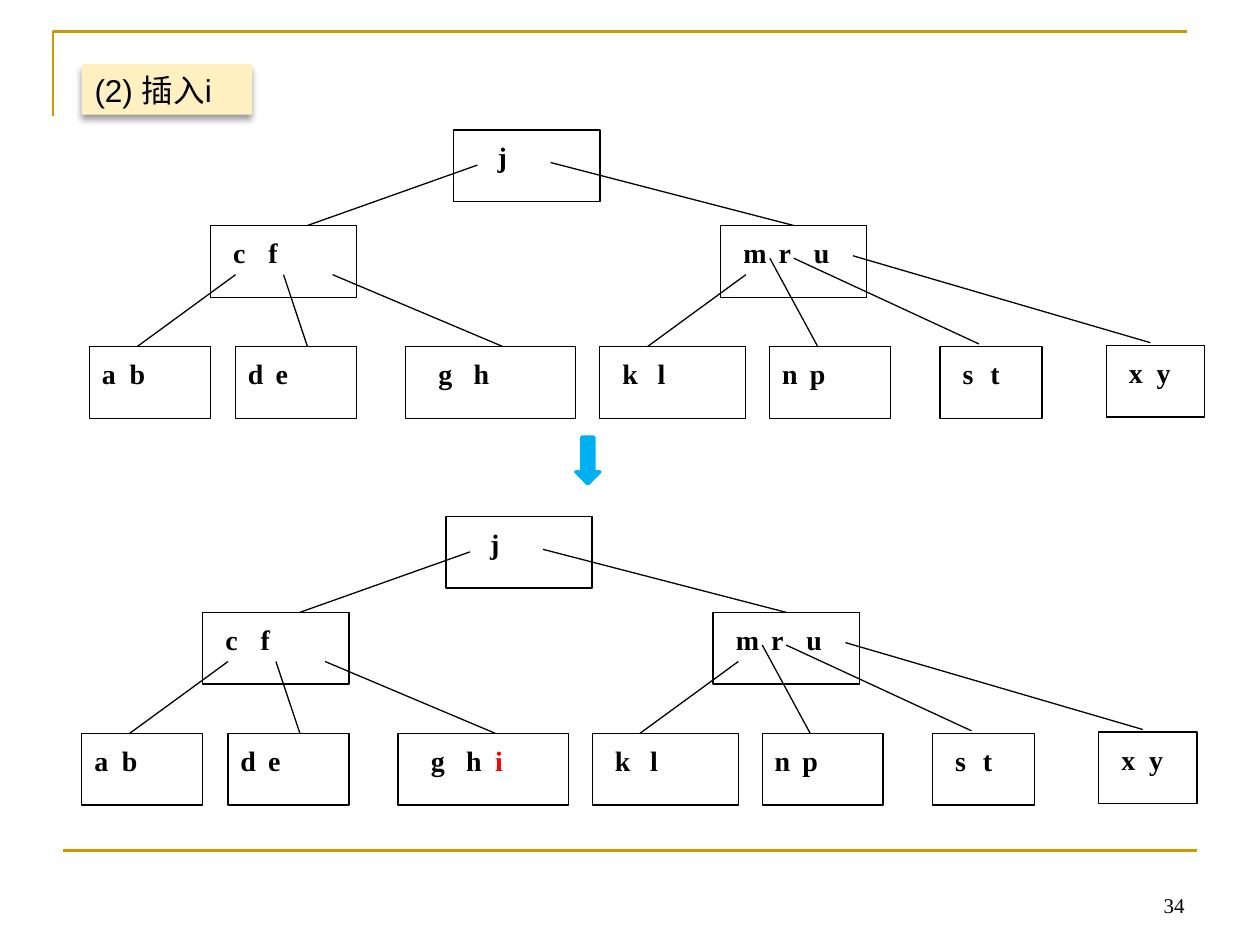
"""Build a slide showing a B-tree before and after inserting the key i."""
from lxml import etree
from pptx import Presentation
from pptx.dml.color import RGBColor
from pptx.enum import shapes, text
from pptx.oxml import ns
from pptx.util import Inches, Pt

BLACK = RGBColor(0x00, 0x00, 0x00)
WHITE = RGBColor(0xFF, 0xFF, 0xFF)
RED = RGBColor(0xFF, 0x00, 0x00)
GOLD = RGBColor(0xCC, 0x99, 0x00)
CREAM = RGBColor(0xFF, 0xF0, 0xC2)
BLUE = RGBColor(0x00, 0xB0, 0xF0)

NODE_H = 0.57
LEVELS = (1.03, 1.79, 2.75)
NARROW, WIDE = 0.22, 0.28

# keys, left, top, width, indent, tab stops
NODES = [
    ("j", 3.6, LEVELS[0], 1.16, 0.25, ()),
    ("cf", 1.67, LEVELS[1], 1.16, 0.08, (WIDE,)),
    ("mru", 5.72, LEVELS[1], 1.16, 0.08, (WIDE, 2 * WIDE)),
    ("ab", 0.71, LEVELS[2], 0.96, 0, (NARROW,)),
    ("de", 1.87, LEVELS[2], 0.96, 0, (NARROW,)),
    ("gh", 3.22, LEVELS[2], 1.35, 0.16, (WIDE, 0.51)),
    ("kl", 4.76, LEVELS[2], 1.16, 0.08, (WIDE,)),
    ("np", 6.11, LEVELS[2], 0.96, 0, (NARROW,)),
    ("st", 7.46, LEVELS[2], 0.81, 0.08, (NARROW,)),
    ("xy", 8.78, 2.74, 0.78, 0.08, (NARROW,)),
]

# start x, start y, end x, end y, node whose top centre is joined
BRANCHES = [
    (3.79, 1.31, 2.44, LEVELS[1], None),
    (4.37, 1.29, 6.3, LEVELS[1], "mru"),
    (1.87, 2.18, 1.09, LEVELS[2], None),
    (2.25, 2.18, 2.44, LEVELS[2], None),
    (2.64, 2.18, 3.99, LEVELS[2], None),
    (5.92, 2.18, 5.14, LEVELS[2], None),
    (6.11, 2.05, 6.49, LEVELS[2], None),
    (6.3, 2.05, 7.77, 2.73, None),
    (6.77, 2.03, 9.13, 2.72, None),
]


def add_run(p, content, size=16, font="Times New Roman", color=BLACK, bold=False):
    r = p.add_run()
    r.text = content
    r.font.size = Pt(size)
    r.font.name = font
    r.font.bold = bold
    r.font.color.rgb = color
    return r


def set_tabs(p, stops):
    tabs = etree.SubElement(p._p.get_or_add_pPr(), ns.qn("a:tabLst"))
    for stop in stops:
        etree.SubElement(tabs, ns.qn("a:tab"), pos=str(Inches(stop)), algn="l")


class TreeSlide:
    def __init__(self, prs):
        self.s = prs.slides.add_slide(prs.slide_layouts[5])
        self.line_width = Pt(0.75)

    def title(self, content, left, top, width, height):
        sp = self.s.shapes.title
        sp.left, sp.top = Inches(left), Inches(top)
        sp.width, sp.height = Inches(width), Inches(height)
        sp.fill.solid()
        sp.fill.fore_color.rgb = CREAM
        effects = etree.SubElement(sp._element.spPr, ns.qn("a:effectLst"))
        shadow = etree.SubElement(
            effects, ns.qn("a:outerShdw"), blurRad=str(Pt(4)), dist=str(Pt(3)),
            dir="5400000", algn="t", rotWithShape="0")
        tint = etree.SubElement(shadow, ns.qn("a:srgbClr"), val=str(BLACK))
        etree.SubElement(tint, ns.qn("a:alpha"), val="40000")
        tf = sp.text_frame
        tf.auto_size = text.MSO_AUTO_SIZE.NONE
        tf.word_wrap = False
        tf.vertical_anchor = text.MSO_ANCHOR.TOP
        p = tf.paragraphs[0]
        p.alignment = text.PP_ALIGN.LEFT
        add_run(p, content, size=18, font="Arial")

    def page_number(self, number):
        sp = self.s.shapes.add_textbox(
            Inches(7.17), Inches(6.83), Inches(2.33), Inches(0.5))
        tf = sp.text_frame
        tf.word_wrap = True
        tf.vertical_anchor = text.MSO_ANCHOR.BOTTOM
        p = tf.paragraphs[0]
        p.alignment = text.PP_ALIGN.RIGHT
        add_run(p, str(number), size=12)

    def corner(self, points):
        (x, y), *rest = [(Inches(a), Inches(b)) for a, b in points]
        builder = self.s.shapes.build_freeform(x, y)
        builder.add_line_segments(rest, close=False)
        sp = builder.convert_to_shape()
        sp.shadow.inherit = False
        sp.fill.background()
        sp.line.color.rgb = GOLD
        sp.line.width = Pt(1.5)

    def line(self, x1, y1, x2, y2, color=BLACK, width=None, parent=None):
        c = (parent or self.s).shapes.add_connector(
            shapes.MSO_CONNECTOR.STRAIGHT,
            Inches(x1), Inches(y1), Inches(x2), Inches(y2))
        c.line.color.rgb = color
        c.line.width = width or self.line_width
        etree.SubElement(c._element.spPr, ns.qn("a:effectLst"))
        return c

    def shape(self, kind, left, top, width, height, fill, line, line_width,
              parent=None):
        sp = (parent or self.s).shapes.add_shape(
            kind, Inches(left), Inches(top), Inches(width), Inches(height))
        sp.shadow.inherit = False
        sp.fill.solid()
        sp.fill.fore_color.rgb = fill
        sp.line.color.rgb = line
        sp.line.width = line_width
        return sp

    def node(self, group, keys, left, top, width, indent, stops, new_key):
        border = self.line_width if stops else Pt(1)
        sp = self.shape(shapes.MSO_SHAPE.RECTANGLE, left, top, width, NODE_H,
                        WHITE, BLACK, border, group)
        tf = sp.text_frame
        tf.word_wrap = True
        tf.vertical_anchor = text.MSO_ANCHOR.TOP
        tf.margin_left = Inches(0.1 + indent)
        tf.margin_top = Inches(0.08)
        p = tf.paragraphs[0]
        p.alignment = text.PP_ALIGN.LEFT
        if stops:
            set_tabs(p, stops)
        add_run(p, "\t".join(keys), bold=True)
        if new_key:
            add_run(p, "\t" + new_key, color=RED, bold=True)
        return sp

    def tree(self, dx=0, dy=0, inserted=None):
        inserted = inserted or {}
        group = self.s.shapes.add_group_shape()
        nodes = {}
        for keys, left, top, width, indent, stops in NODES:
            nodes[keys] = self.node(group, keys, left + dx, top + dy, width,
                                    indent, stops, inserted.get(keys))
        for x1, y1, x2, y2, child in BRANCHES:
            c = self.line(x1 + dx, y1 + dy, x2 + dx, y2 + dy, parent=group)
            if child:
                c.end_connect(nodes[child], 0)


def main():
    prs = Presentation()
    prs.slide_width, prs.slide_height = Inches(10), Inches(7.5)
    slide = TreeSlide(prs)
    slide.corner([(0.42, 0.92), (0.42, 0.25), (9.42, 0.25)])
    slide.line(0.5, 6.75, 9.5, 6.75, GOLD, Pt(1.5))
    slide.page_number(34)
    slide.title("(2) 插入i", 0.65, 0.51, 1.35, 0.4)
    slide.tree()
    slide.tree(-0.06, 3.07, {"gh": "i"})
    slide.shape(shapes.MSO_SHAPE.DOWN_ARROW, 4.57, 3.47, 0.19, 0.37,
                BLUE, BLUE, Pt(2))
    prs.save("out.pptx")


if __name__ == "__main__":
    main()
